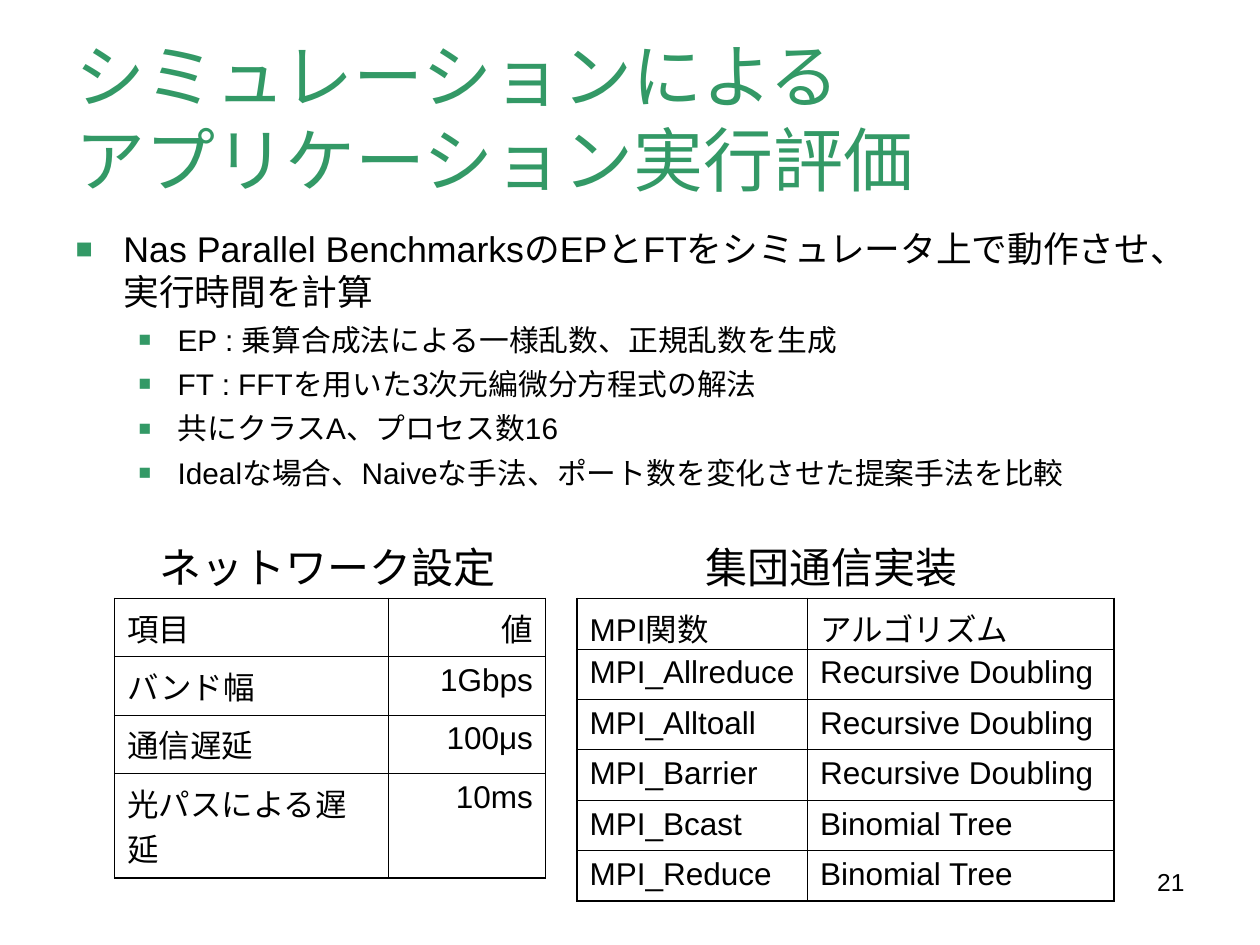
from lxml import etree
from pptx import Presentation
from pptx.dml.color import RGBColor
from pptx.enum.text import MSO_ANCHOR, MSO_AUTO_SIZE, PP_ALIGN
from pptx.oxml.ns import qn
from pptx.util import Inches, Pt

LEFT, RIGHT = PP_ALIGN.LEFT, PP_ALIGN.RIGHT
MIDDLE, TOP = MSO_ANCHOR.MIDDLE, MSO_ANCHOR.TOP
FIXED, GROW = MSO_AUTO_SIZE.NONE, MSO_AUTO_SIZE.SHAPE_TO_FIT_TEXT
GREEN = RGBColor(0x33, 0x99, 0x66)
BLACK = RGBColor(0, 0, 0)
FONT = "Arial"
THIN, THICK = Pt(0.45), Pt(1.08)

TITLE = "シミュレーションによる\vアプリケーション実行評価"
POINTS = [
    (0, "Nas Parallel BenchmarksのEPとFTをシミュレータ上で動作させ、実行時間を計算"),
    (1, "EP : 乗算合成法による一様乱数、正規乱数を生成"),
    (1, "FT : FFTを用いた3次元編微分方程式の解法"),
    (1, "共にクラスA、プロセス数16"),
    (1, "Idealな場合、Naiveな手法、ポート数を変化させた提案手法を比較"),
]
LEVELS = [
    dict(size=20.4, left=0.38, hang=0.38, gap=6, mark=80),
    dict(size=17, left=0.81, hang=0.31, gap=5, mark=70),
]
NETWORK = [
    ("項目", "値"),
    ("バンド幅", "1Gbps"),
    ("通信遅延", "100μs"),
    ("光パスによる遅延", "10ms"),
]
METHODS = [
    ("MPI関数", "アルゴリズム"),
    ("MPI_Allreduce", "Recursive Doubling"),
    ("MPI_Alltoall", "Recursive Doubling"),
    ("MPI_Barrier", "Recursive Doubling"),
    ("MPI_Bcast", "Binomial Tree"),
    ("MPI_Reduce", "Binomial Tree"),
]


def place(shape, box):
    """Move a shape to a box of left, top, width and height in inches."""
    shape.left, shape.top, shape.width, shape.height = map(Inches, box)


def style(para, size, color=BLACK, align=LEFT):
    """Format a paragraph and all its runs."""
    para.alignment = align
    for run in para.runs:
        run.font.name = FONT
        run.font.size = Pt(size)
        run.font.color.rgb = color


def add_bullet(para, left, hang, mark):
    """Give a paragraph a green square bullet and a hanging indent."""
    props = para._p.get_or_add_pPr()
    props.set("marL", str(Inches(left)))
    props.set("indent", str(-Inches(hang)))
    tint = etree.SubElement(props, qn("a:buClr"))
    etree.SubElement(tint, qn("a:srgbClr"), val=str(GREEN))
    etree.SubElement(props, qn("a:buSzPct"), val=str(mark * 1000))
    etree.SubElement(props, qn("a:buFont"), typeface=FONT)
    etree.SubElement(props, qn("a:buChar"), char="■")


def add_title(slide, box):
    """Fill the title placeholder."""
    shape = slide.shapes.title
    place(shape, box)
    frame = shape.text_frame
    frame.text = TITLE
    frame.auto_size = FIXED
    frame.vertical_anchor = MIDDLE
    style(frame.paragraphs[0], 40, GREEN)


def add_points(slide, box):
    """Fill the body placeholder with the bulleted list."""
    shape = slide.placeholders[1]
    place(shape, box)
    frame = shape.text_frame
    frame.text = "\n".join(text for _, text in POINTS)
    frame.auto_size = FIXED
    frame.vertical_anchor = TOP
    for index, (para, (level, _)) in enumerate(zip(frame.paragraphs, POINTS)):
        look = LEVELS[level]
        para.level = level
        add_bullet(para, look["left"], look["hang"], look["mark"])
        style(para, look["size"])
        para.space_before = Pt(look["gap"] if index else 0)


def add_label(slide, box, text, size, align=LEFT, wrap=False):
    """Add a line of plain text."""
    shape = slide.shapes.add_textbox(*map(Inches, box))
    frame = shape.text_frame
    frame.text = text
    frame.word_wrap = wrap
    frame.auto_size = FIXED if wrap else GROW
    style(frame.paragraphs[0], size, align=align)


def add_border(cell, side, width):
    """Draw one black edge of a table cell."""
    line = etree.SubElement(cell._tc.get_or_add_tcPr(), qn(f"a:{side}"), w=str(width))
    fill = etree.SubElement(line, qn("a:solidFill"))
    etree.SubElement(fill, qn("a:srgbClr"), val=str(BLACK))


def add_grid(slide, box, data, widths, heights, aligns):
    """Add a table with a thick frame and thin inner lines."""
    shape = slide.shapes.add_table(len(data), len(widths), *map(Inches, box))
    table = shape.table
    table.first_row = table.horz_banding = False
    for column, width in zip(table.columns, widths):
        column.width = Inches(width)
    for r, (row, height) in enumerate(zip(data, heights)):
        table.rows[r].height = Inches(height)
        for c, text in enumerate(row):
            cell = table.cell(r, c)
            cell.text = text
            style(cell.text_frame.paragraphs[0], 18, align=aligns[c])
            edges = {
                "lnL": c == 0,
                "lnR": c == len(row) - 1,
                "lnT": r == 0,
                "lnB": r == len(data) - 1,
            }
            for side, outer in edges.items():
                add_border(cell, side, THICK if outer else THIN)
            cell.fill.background()


def main():
    """Build the slide and save it."""
    deck = Presentation()
    deck.slide_width, deck.slide_height = Inches(10), Inches(7.5)
    slide = deck.slides.add_slide(deck.slide_layouts[1])
    add_title(slide, (0.5, 0.3, 9, 1.25))
    add_points(slide, (0.5, 1.75, 9, 2.59))
    add_grid(slide, (0.91, 4.75, 3.42, 2.21), NETWORK,
             (2.17, 1.25), (0.46, 0.46, 0.46, 0.83), (LEFT, RIGHT))
    add_label(slide, (1.17, 4.25, 2.9, 0.5), "ネットワーク設定", 24)
    add_grid(slide, (4.58, 4.75, 4.26, 2.42), METHODS,
             (1.83, 2.43), [0.4] * len(METHODS), (LEFT, LEFT))
    add_label(slide, (5.5, 4.25, 2.2, 0.5), "集団通信実装", 24)
    add_label(slide, (7.17, 6.83, 2.33, 0.52), "21", 14, RIGHT, True)
    deck.save("out.pptx")


if __name__ == "__main__":
    main()
